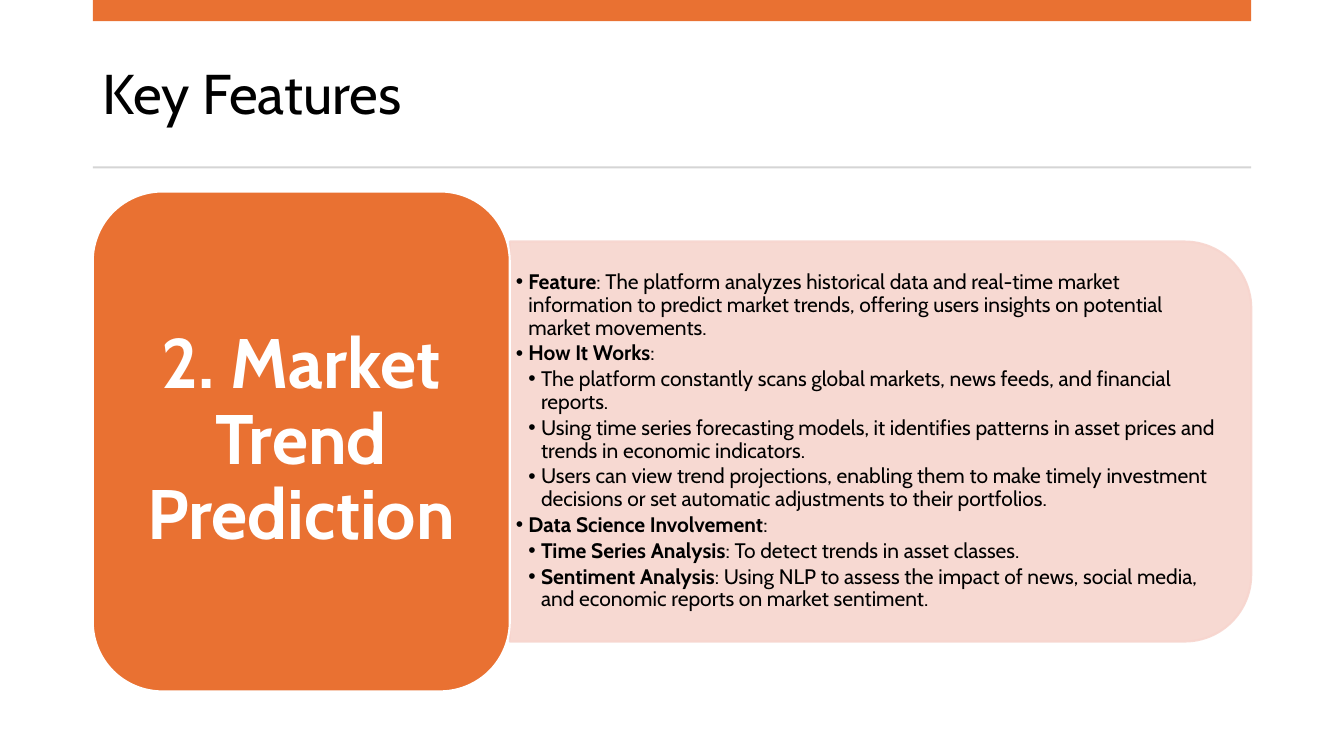
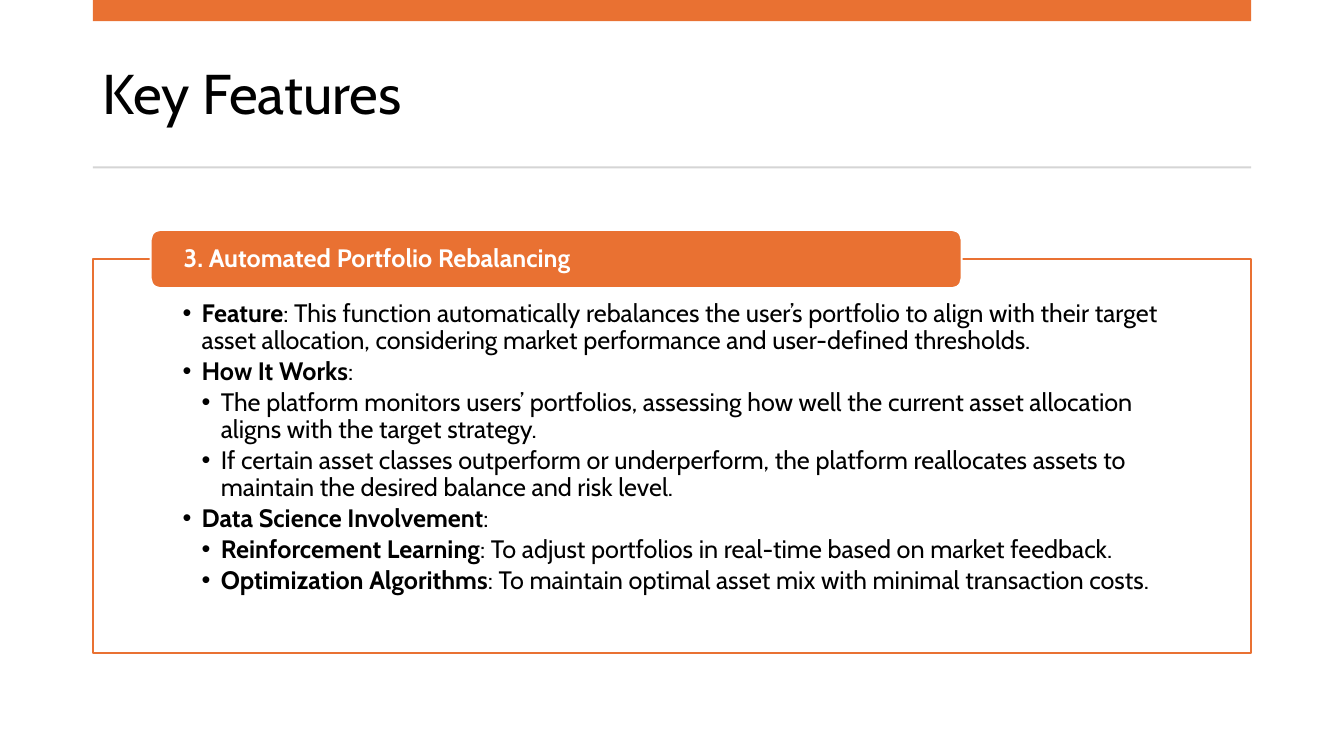
from dataclasses import dataclass

from lxml import etree
from pptx import Presentation, util as u
from pptx.dml.color import RGBColor
from pptx.enum import shapes, text
from pptx.oxml import ns


@dataclass(frozen=True)
class Theme:
    accent: str = "E97132"
    tint: str = "F7D5CE"
    rule: str = "D5D5D5"
    ink: str = "000000"
    paper: str = "FFFFFF"
    font: str = "Cabin"
    title_size: float = 40
    tile_size: float = 50
    tile_list_size: float = 15
    frame_size: float = 18
    outline: float = 1.5
    line_spacing: float = 0.9
    opacity: int = 90


@dataclass(frozen=True)
class Box:
    """A rectangle in inches."""
    left: float
    top: float
    width: float
    height: float

    def lengths(self):
        return [u.Inches(n) for n in (self.left, self.top, self.width, self.height)]


THEME = Theme()
MARGIN, CONTENT_WIDTH = 0.92, 11.49

# Each list item: level, bold lead, plain text
TREND_ITEMS = [
    (0, "Feature", ": The platform analyzes historical data and real-time market information "
                   "to predict market trends, offering users insights on potential market movements."),
    (0, "How It Works", ":"),
    (1, "", "The platform constantly scans global markets, news feeds, and financial reports."),
    (1, "", "Using time series forecasting models, it identifies patterns in asset prices "
            "and trends in economic indicators."),
    (1, "", "Users can view trend projections, enabling them to make timely investment "
            "decisions or set automatic adjustments to their portfolios."),
    (0, "Data Science Involvement", ":"),
    (1, "Time Series Analysis", ": To detect trends in asset classes."),
    (1, "Sentiment Analysis", ": Using NLP to assess the impact of news, social media, "
                              "and economic reports on market sentiment."),
]
REBALANCING_ITEMS = [
    (0, "Feature", ": This function automatically rebalances the user’s portfolio to align with "
                   "their target asset allocation, considering market performance and "
                   "user-defined thresholds."),
    (0, "How It Works", ":"),
    (1, "", "The platform monitors users’ portfolios, assessing how well the current asset "
            "allocation aligns with the target strategy."),
    (1, "", "If certain asset classes outperform or underperform, the platform reallocates "
            "assets to maintain the desired balance and risk level."),
    (0, "Data Science Involvement", ":"),
    (1, "Reinforcement Learning", ": To adjust portfolios in real-time based on market feedback."),
    (1, "Optimization Algorithms", ": To maintain optimal asset mix with minimal transaction costs."),
]


def place(shape, box):
    shape.left, shape.top, shape.width, shape.height = box.lengths()


def add_box(slide, kind, box, fill, line=None):
    shape = slide.shapes.add_shape(kind, *box.lengths())
    shape.shadow.inherit = False
    shape.fill.solid()
    shape.fill.fore_color.rgb = RGBColor.from_string(fill)
    if line:
        shape.line.color.rgb = RGBColor.from_string(line)
        shape.line.width = u.Pt(THEME.outline)
    else:
        shape.line.fill.background()
    return shape


def soften(shape, include_line):
    """Make the fill, and the outline if asked, slightly transparent."""
    path = ".//a:srgbClr" if include_line else "./a:solidFill/a:srgbClr"
    for colour in shape.element.spPr.xpath(path):
        etree.SubElement(colour, ns.qn("a:alpha"), val=str(THEME.opacity * 1000))


def set_frame(shape, insets, anchor):
    frame = shape.text_frame
    frame.word_wrap = True
    frame.auto_size = text.MSO_AUTO_SIZE.NONE
    frame.vertical_anchor = anchor
    (frame.margin_left, frame.margin_top,
     frame.margin_right, frame.margin_bottom) = [u.Inches(n) for n in insets]
    return frame


def style_paragraph(paragraph, size, colour, bold=None, align=text.PP_ALIGN.LEFT, after=0.0):
    paragraph.alignment = align
    paragraph.line_spacing = THEME.line_spacing
    paragraph.space_before = u.Pt(0)
    paragraph.space_after = u.Pt(size * after)
    font = paragraph.font
    font.name, font.size, font.bold = THEME.font, u.Pt(size), bold
    font.color.rgb = RGBColor.from_string(colour)


def set_bullet(paragraph, indent):
    properties = paragraph._p.get_or_add_pPr()
    properties.set("marL", str(u.Inches(indent * (paragraph.level + 1))))
    properties.set("indent", str(-u.Inches(indent)))
    bullet = etree.Element(ns.qn("a:buChar"), char="•")
    properties.find(ns.qn("a:spcAft")).addnext(bullet)


def fill_list(body, box, items, size, indent, insets, anchor):
    place(body, box)
    frame = set_frame(body, insets, anchor)
    for index, (level, lead, plain) in enumerate(items):
        paragraph = frame.add_paragraph() if index else frame.paragraphs[0]
        paragraph.level = level
        style_paragraph(paragraph, size, THEME.ink, after=0.15)
        set_bullet(paragraph, indent)
        if lead:
            run = paragraph.add_run()
            run.text = lead
            run.font.bold = True
        paragraph.add_run().text = plain


def add_label(slide, box, label, size, insets, align):
    shape = add_box(slide, shapes.MSO_SHAPE.ROUNDED_RECTANGLE, box, THEME.accent, THEME.paper)
    frame = set_frame(shape, insets, text.MSO_ANCHOR.MIDDLE)
    frame.text = label
    style_paragraph(frame.paragraphs[0], size, THEME.paper, True, align)


def add_feature_slide(presentation):
    """Add a slide with the shared title, top band and rule."""
    slide = presentation.slides.add_slide(presentation.slide_layouts[1])
    title = slide.shapes.title
    place(title, Box(MARGIN, 0.37, CONTENT_WIDTH, 1.18))
    frame = set_frame(title, (0.1, 0.05, 0.1, 0.05), text.MSO_ANCHOR.MIDDLE)
    frame.text = "Key Features"
    style_paragraph(frame.paragraphs[0], THEME.title_size, THEME.ink)
    for top, height, colour in ((0, 0.21, THEME.accent), (1.65, 0.02, THEME.rule)):
        add_box(slide, shapes.MSO_SHAPE.RECTANGLE,
                Box(MARGIN, top, CONTENT_WIDTH, height), colour)
    return slide


def add_tile_and_panel(slide, box, label, items):
    """Place a large label tile at the left and a rounded list panel beside it."""
    tile_width = 0.36 * box.width
    panel_left, panel_width = box.left + tile_width, box.width - tile_width
    panel_height = 0.8 * box.height
    middle_x, middle_y = panel_left + panel_width / 2, box.top + box.height / 2
    # Upright size before the quarter turn
    panel = add_box(slide, shapes.MSO_SHAPE.ROUND_2_SAME_RECTANGLE,
                    Box(middle_x - panel_height / 2, middle_y - panel_width / 2,
                        panel_height, panel_width), THEME.tint, THEME.tint)
    panel.rotation = 90
    soften(panel, include_line=True)

    body = slide.placeholders[1]
    list_height = panel_height - 0.39
    fill_list(body, Box(panel_left, middle_y - list_height / 2, panel_width - 0.19, list_height),
              items, THEME.tile_list_size, 0.125, (0.06, 0.03, 0.06, 0.03),
              text.MSO_ANCHOR.MIDDLE)
    panel.element.addnext(body.element)
    add_label(slide, Box(box.left, box.top, tile_width, box.height), label,
              THEME.tile_size, (0.21, 0.1, 0.21, 0.1), text.PP_ALIGN.CENTER)


def add_banner_and_frame(slide, box, label, items):
    """Place an outlined list frame with a label banner across its top edge."""
    outline = add_box(slide, shapes.MSO_SHAPE.RECTANGLE, box, THEME.paper, THEME.accent)
    soften(outline, include_line=False)
    body = slide.placeholders[1]
    fill_list(body, box, items, THEME.frame_size, 0.19, (0.89, 0.41, 0.89, 0.14),
              text.MSO_ANCHOR.TOP)
    outline.element.addnext(body.element)
    banner_height = 0.58
    add_label(slide, Box(box.left + 0.05 * box.width, box.top - banner_height / 2,
                         0.7 * box.width, banner_height), label,
              THEME.frame_size, (0.3, 0, 0.3, 0), text.PP_ALIGN.LEFT)


def main():
    presentation = Presentation()
    presentation.slide_width, presentation.slide_height = u.Inches(13.33), u.Inches(7.5)
    add_tile_and_panel(add_feature_slide(presentation), Box(MARGIN, 1.9, CONTENT_WIDTH, 4.96),
                       "2. Market Trend Prediction", TREND_ITEMS)
    add_banner_and_frame(add_feature_slide(presentation), Box(MARGIN, 2.57, CONTENT_WIDTH, 3.91),
                         "3. Automated Portfolio Rebalancing", REBALANCING_ITEMS)
    presentation.save("out.pptx")


if __name__ == "__main__":
    main()
